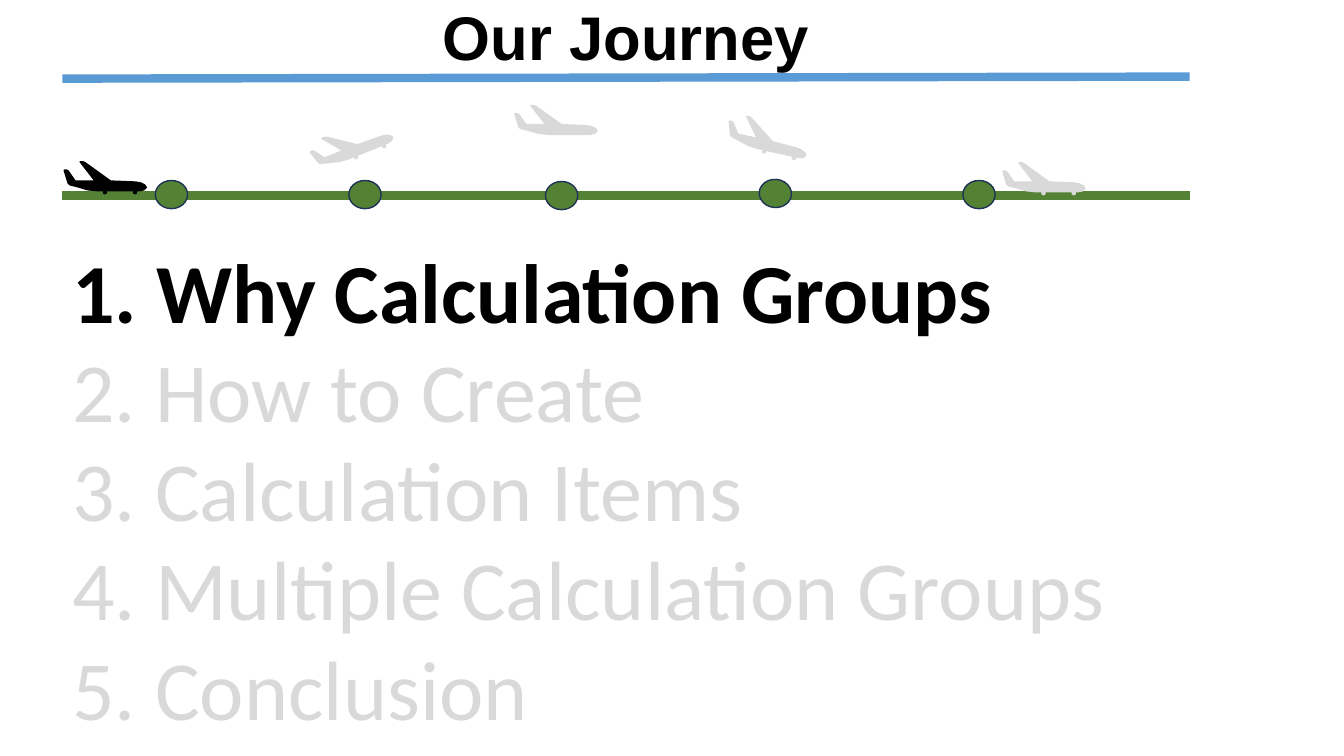
"""Build the journey slide: a flight path above a list of topics."""
from math import cos, radians, sin

from lxml.etree import SubElement
from pptx import Presentation
from pptx.dml.color import RGBColor
from pptx.enum.shapes import MSO_CONNECTOR, MSO_SHAPE
from pptx.enum.text import MSO_ANCHOR, MSO_AUTO_SIZE, PP_ALIGN
from pptx.oxml.ns import qn
from pptx.util import Inches, Pt

BLACK, GREY, GREEN, BLUE, NAVY = "000000", "D9D9D9", "548235", "5B9BD5", "1E3256"
LEFT, WIDE = 0.62, 11.18
TITLE = "Our Journey"
TOPICS = ["Why Calculation Groups", "How to Create", "Calculation Items",
          "Multiple Calculation Groups", "Conclusion"]
ACTIVE = 0
RULES = [(0.78, 0.76, BLUE), (1.94, 1.94, GREEN)]
DOTS = [(1.54, 1.79, 0), (3.46, 1.79, 0), (5.41, 1.8, 0), (7.53, 1.78, 5.1), (9.55, 1.79, 0)]
PLANES = [(1.05, 1.77, 0, True), (3.49, 1.43, -21.9, True), (5.52, 1.21, 0, False),
          (7.62, 1.37, 12.4, True), (10.36, 1.78, 0, True)]
TOP = [(0.41, 0.09), (0.39, 0.06), (0.35, 0.04), (0.3, 0.03), (0.05, 0.02), (-0.2, -0.16),
       (-0.22, -0.17), (-0.26, -0.17), (-0.26, -0.16), (-0.12, 0.02), (-0.3, 0.02),
       (-0.37, -0.08), (-0.39, -0.09), (-0.41, -0.09), (-0.42, -0.08), (-0.38, 0.05),
       (-0.36, 0.07), (-0.28, 0.09), (-0.18, 0.12), (-0.08, 0.13), (-0.03, 0.13)]
WHEEL = [(-0.02, 0), (-0.02, 0.02), (0, 0.03), (0.02, 0.02), (0.02, 0)]
AXLES = [(-0.01, 0.13), (0.29, 0.13)]
CHIN = [(0.33, 0.13), (0.38, 0.12)]


def color(code):
    return RGBColor.from_string(code)


def paint(shape, fill, line=None):
    shape.shadow.inherit = False
    shape.fill.solid()
    shape.fill.fore_color.rgb = color(fill)
    if line:
        shape.line.color.rgb = color(line)
        shape.line.width = Pt(1)
    else:
        shape.line.fill.background()


def write(slide, box, lines, para, frame):
    text = slide.shapes.add_textbox(*map(Inches, box)).text_frame
    for key, value in frame.items():
        setattr(text, key, value)
    for i, (words, ink, font) in enumerate(lines):
        par = text.add_paragraph() if i else text.paragraphs[0]
        for key, value in para.items():
            setattr(par, key, value)
        run = par.add_run()
        run.text = words
        for key, value in font.items():
            setattr(run.font, key, value)
        run.font.color.rgb = color(ink)


def rule(slide, start, end, ink):
    line = slide.shapes.add_connector(MSO_CONNECTOR.STRAIGHT, Inches(LEFT), Inches(start),
                                      Inches(LEFT + WIDE), Inches(end))
    line.line.color.rgb = color(ink)
    line.line.width = Pt(6)
    SubElement(line._element.spPr, qn("a:effectLst"))


def plane(slide, x, y, turn, wheels, ink):
    gear = [(ax + dx, ay + dy) for ax, ay in AXLES for dx, dy in WHEEL] if wheels else []
    c, s = cos(radians(turn)), sin(radians(turn))
    points = [(Inches(x + px * c - py * s), Inches(y + px * s + py * c))
              for px, py in TOP + gear + CHIN]
    path = slide.shapes.build_freeform(*points[0])
    path.add_line_segments(points[1:], close=True)
    paint(path.convert_to_shape(), ink)


def main():
    deck = Presentation()
    deck.slide_width, deck.slide_height = Inches(13.33), Inches(7.5)
    slide = deck.slides.add_slide(deck.slide_layouts[6])
    topics = [(f"{i + 1}. {name}", BLACK if i == ACTIVE else GREY,
               {"name": "Calibri", "size": Pt(60), "bold": i == ACTIVE})
              for i, name in enumerate(TOPICS)]
    write(slide, (LEFT, 2.44, WIDE, 4.98), topics,
          {"line_spacing": 0.9, "space_after": Pt(6)},
          {"word_wrap": True, "auto_size": MSO_AUTO_SIZE.SHAPE_TO_FIT_TEXT})
    for item in RULES:
        rule(slide, *item)
    for x, y, turn in DOTS:
        dot = slide.shapes.add_shape(MSO_SHAPE.OVAL, *map(Inches, (x, y, 0.32, 0.28)))
        dot.rotation = turn
        paint(dot, GREEN, NAVY)
    for i, item in enumerate(PLANES):
        plane(slide, *item, BLACK if i == ACTIVE else GREY)
    write(slide, (LEFT, 0, WIDE, 0.8),
          [(TITLE, BLACK, {"name": "Arial", "size": Pt(44), "bold": True})],
          {"line_spacing": 0.9, "alignment": PP_ALIGN.CENTER},
          {"word_wrap": True, "vertical_anchor": MSO_ANCHOR.MIDDLE})
    deck.save("out.pptx")


if __name__ == "__main__":
    main()
